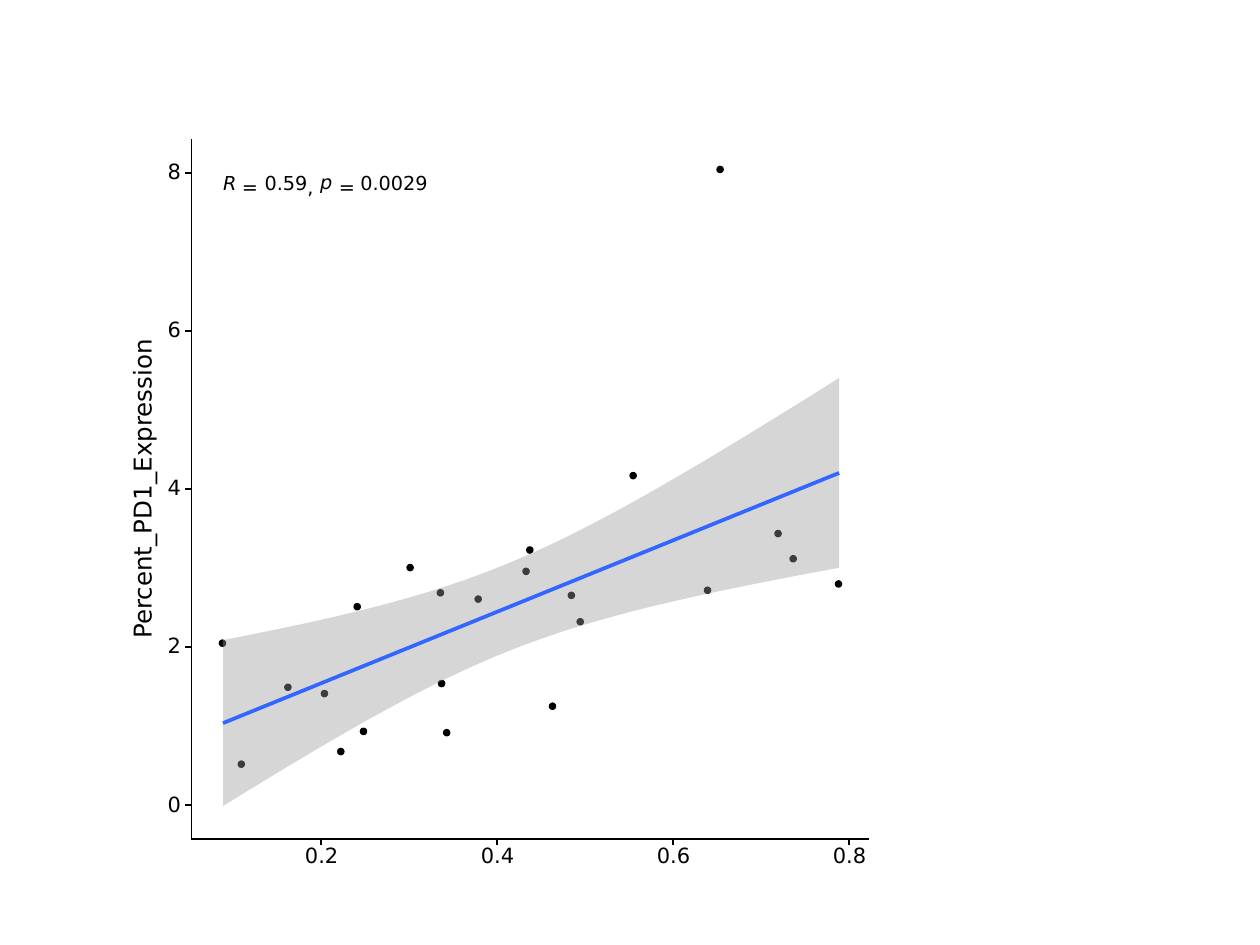
from math import sqrt

from lxml import etree
from pptx import Presentation
from pptx import util as u
from pptx.dml.color import RGBColor
from pptx.enum import shapes, text
from pptx.oxml import ns

BLACK = RGBColor(0x00, 0x00, 0x00)
WHITE = RGBColor(0xFF, 0xFF, 0xFF)
GRAY = RGBColor(0x99, 0x99, 0x99)
BLUE = RGBColor(0x33, 0x66, 0xFF)

DOTS = [
    (3.47, 4.68), (4.18, 4.34), (6.15, 4.21), (4.15, 4.51), (2.55, 5.48),
    (6.27, 4.41), (4.36, 5.58), (4.58, 4.91), (1.74, 5.08), (3.23, 4.48),
    (4.51, 4.7), (5, 3.75), (5.59, 4.66), (1.89, 6.04), (3.77, 4.73),
    (2.68, 5.94), (3.52, 5.79), (6.63, 4.61), (2.26, 5.43), (2.86, 5.78),
    (2.81, 4.79), (5.69, 1.32), (3.48, 5.4),
]
STATISTICS = [
    ("R", 1.77, 1.41, 0.11, 0.11, True),
    ("=", 1.92, 1.48, 0.13, 0.04, False),
    ("0.59", 2.1, 1.41, 0.37, 0.12, False),
    (",", 2.44, 1.48, 0.05, 0.04, False),
    ("p", 2.54, 1.4, 0.1, 0.12, True),
    ("=", 2.69, 1.48, 0.13, 0.04, False),
    ("0.0029", 2.86, 1.41, 0.57, 0.12, False),
]
X_LABELS = ["0.2", "0.4", "0.6", "0.8"]
Y_LABELS = ["0", "2", "4", "6", "8"]
Y_TITLE = "Percent_PD1_Expression"

FONT = "DejaVu Sans"
DOT = 0.05
TICK = 0.05
AXIS_LEFT, AXIS_RIGHT, AXIS_TOP, AXIS_BOTTOM = 1.52, 6.9, 1.1, 6.66
FIRST_X, LAST_X = 2.55, 6.74
FIRST_Y, LAST_Y = 6.39, 1.37
FIT_LEFT, FIT_RIGHT, FIT_STEPS = 1.77, 6.66, 79
T_QUANTILE = 2.08


def set_all(target, values):
    for name, value in values.items():
        setattr(target, name, value)


def spread(first, last, count):
    return [first + (last - first) * i / (count - 1) for i in range(count)]


def add_preset(group, kind, left, top, width, height, color, weight):
    shape = group.shapes.add_shape(kind, *map(u.Inches, (left, top, width, height)))
    shape.shadow.inherit = False
    shape.fill.solid()
    shape.fill.fore_color.rgb = color
    shape.line.color.rgb = color
    shape.line.width = u.Pt(weight)


def add_line(group, x1, y1, x2, y2, color=BLACK, weight=1.07):
    line = group.shapes.add_connector(
        shapes.MSO_CONNECTOR.STRAIGHT, *map(u.Inches, (x1, y1, x2, y2)))
    line.line.color.rgb = color
    line.line.width = u.Pt(weight)
    etree.SubElement(line._element.spPr, ns.qn("a:effectLst"))


def add_text(group, words, left, top, width, height, size, italic=None, rotation=0):
    box = group.shapes.add_textbox(*map(u.Inches, (left, top, width, height)))
    box.rotation = rotation
    set_all(box.text_frame, {
        "margin_left": 0, "margin_top": 0, "margin_right": 0, "margin_bottom": 0,
        "word_wrap": False, "vertical_anchor": text.MSO_ANCHOR.MIDDLE,
    })
    para = box.text_frame.paragraphs[0]
    para.line_spacing = u.Pt(size)
    span = para.add_run()
    span.text = words
    set_all(span.font, {"name": FONT, "size": u.Pt(size), "italic": italic})
    span.font.color.rgb = BLACK


def fit_line(points):
    count = len(points)
    mean_x = sum(x for x, _ in points) / count
    mean_y = sum(y for _, y in points) / count
    square_x = sum((x - mean_x) ** 2 for x, _ in points)
    slope = sum((x - mean_x) * (y - mean_y) for x, y in points) / square_x

    def fit(x):
        return mean_y + slope * (x - mean_x)

    error = sqrt(sum((y - fit(x)) ** 2 for x, y in points) / (count - 2))

    def margin(x):
        return T_QUANTILE * error * sqrt(1 / count + (x - mean_x) ** 2 / square_x)

    return fit, margin


def add_band(group, fit, margin):
    steps = spread(FIT_LEFT, FIT_RIGHT, FIT_STEPS + 1)
    upper = [(x, fit(x) - margin(x)) for x in steps]
    lower = [(x, fit(x) + margin(x)) for x in reversed(steps)]
    outline = [(u.Inches(x), u.Inches(y)) for x, y in upper + lower]
    builder = group.shapes.build_freeform(*outline[0], scale=1.0)
    builder.add_line_segments(outline[1:], close=True)
    band = builder.convert_to_shape()
    band.shadow.inherit = False
    band.fill.solid()
    band.fill.fore_color.rgb = GRAY
    band.line.fill.background()
    color = band._element.spPr.find(ns.qn("a:solidFill"))[0]
    etree.SubElement(color, ns.qn("a:alpha"), val="40000")


def add_axes(group):
    add_line(group, AXIS_LEFT, AXIS_BOTTOM, AXIS_LEFT, AXIS_TOP)
    add_line(group, AXIS_LEFT, AXIS_BOTTOM, AXIS_RIGHT, AXIS_BOTTOM)
    for label, y in zip(Y_LABELS, spread(FIRST_Y, LAST_Y, len(Y_LABELS))):
        add_line(group, AXIS_LEFT - TICK, y, AXIS_LEFT, y)
        add_text(group, label, 1.33, y - 0.06, 0.11, 0.13, 12)
    for label, x in zip(X_LABELS, spread(FIRST_X, LAST_X, len(X_LABELS))):
        add_line(group, x, AXIS_BOTTOM + TICK, x, AXIS_BOTTOM)
        add_text(group, label, x - 0.13, 6.74, 0.29, 0.13, 12)
    add_text(group, Y_TITLE, -0.05, 3.78, 2.39, 0.19, 14, rotation=270)


def main():
    deck = Presentation()
    set_all(deck, {"slide_width": u.Inches(10), "slide_height": u.Inches(7.5)})
    page = deck.slides.add_slide(deck.slide_layouts[6])
    plot = page.shapes.add_group_shape()

    add_preset(plot, shapes.MSO_SHAPE.RECTANGLE, 1, 1, 6, 6, WHITE, 0.75)
    for left, top in DOTS:
        add_preset(plot, shapes.MSO_SHAPE.OVAL, left, top, DOT, DOT, BLACK, 0.71)

    fit, margin = fit_line([(left + DOT / 2, top + DOT / 2) for left, top in DOTS])
    add_band(plot, fit, margin)
    add_line(plot, FIT_LEFT, fit(FIT_LEFT), FIT_RIGHT, fit(FIT_RIGHT), BLUE, 2.13)

    for words, left, top, width, height, italic in STATISTICS:
        add_text(plot, words, left, top, width, height, 11, italic)
    add_axes(plot)
    deck.save("out.pptx")


if __name__ == "__main__":
    main()
